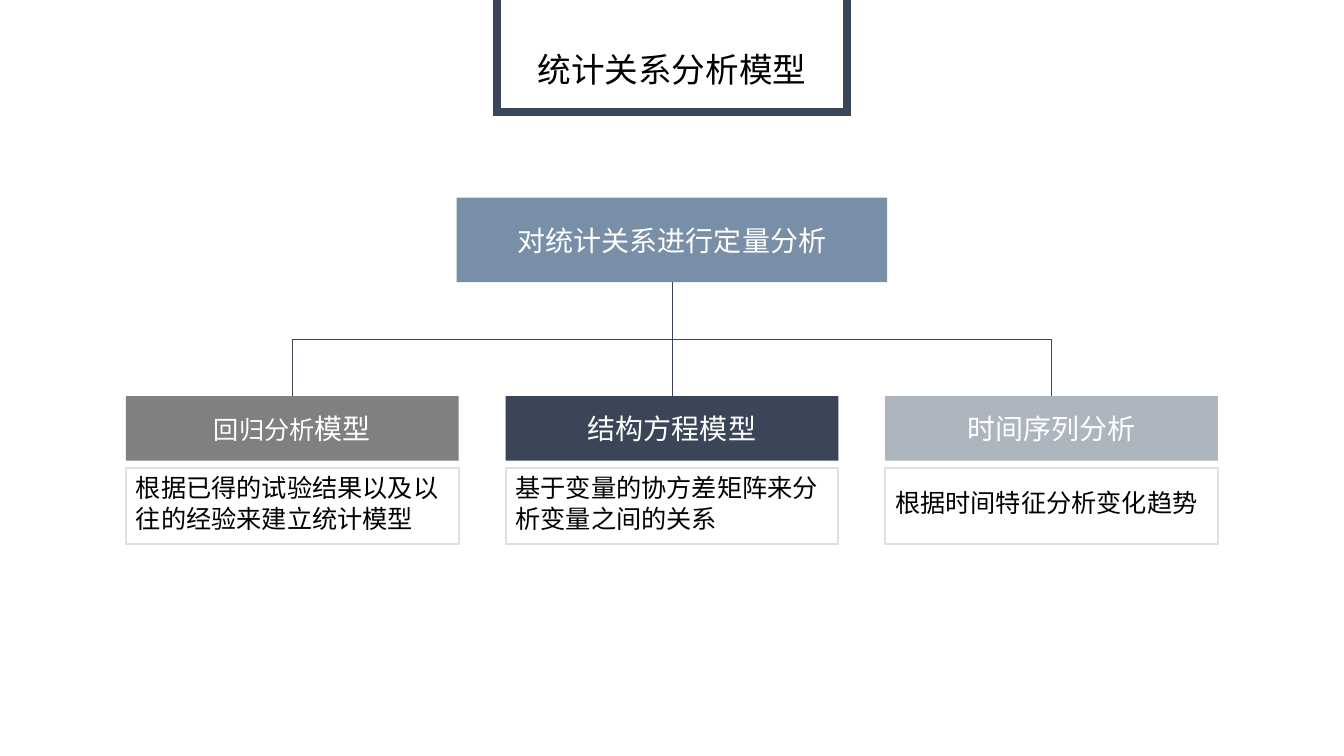
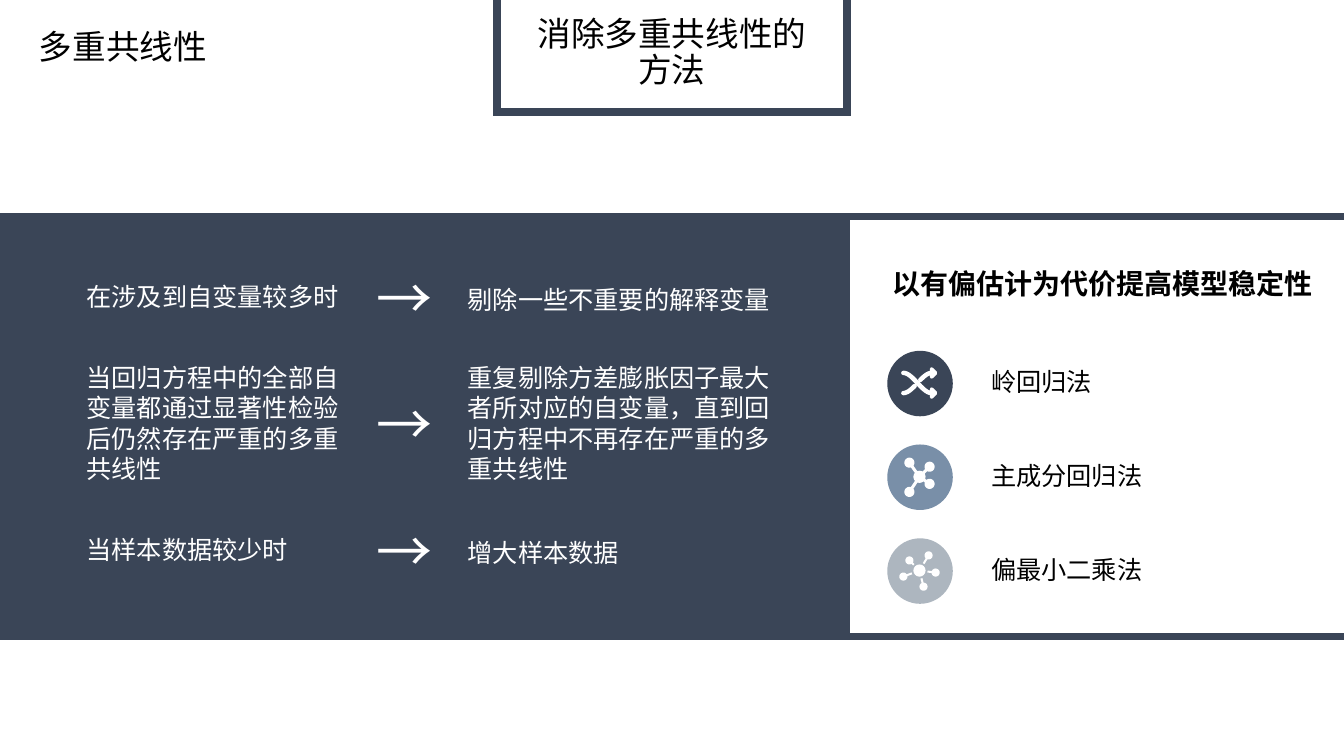
"""Build two slides on statistical relation models and multicollinearity."""
import math
from dataclasses import dataclass

from pptx import Presentation
from pptx.dml.color import RGBColor
from pptx.enum import shapes as kinds, text as layout
from pptx.oxml.ns import qn
from pptx.util import Inches, Pt

COLORS = {
    "navy": "3A4557", "blue": "798FA8", "silver": "ADB6BF", "gray": "808080",
    "edge": "E0E0E0", "white": "FFFFFF", "black": "000000",
}
CJK = "Noto Sans CJK SC"
CENTER = layout.PP_ALIGN.CENTER
MIDDLE = layout.MSO_ANCHOR.MIDDLE
TOP = layout.MSO_ANCHOR.TOP
BOTTOM = layout.MSO_ANCHOR.BOTTOM
RECT = kinds.MSO_SHAPE.RECTANGLE
OVAL = kinds.MSO_SHAPE.OVAL
STRAIGHT = kinds.MSO_CONNECTOR.STRAIGHT
ELBOW = kinds.MSO_CONNECTOR.ELBOW
Point = tuple[float, float]


@dataclass(frozen=True)
class Model:
    name: tuple[tuple[str, int], ...]
    description: str
    color: str
    spacing: float | None = None


@dataclass(frozen=True)
class Remedy:
    condition: str
    action: str
    middle: float
    action_drop: float = 0


@dataclass(frozen=True)
class Network:
    hub_radius: float
    nodes: tuple[Point, ...]
    node_radius: float
    link_width: float
    link_gap: float


MODELS = (
    Model((("回归分析", 18), ("模型", 20)), "根据已得的试验结果以及以往的经验来建立统计模型", "gray"),
    Model((("结构方程模型", 20),), "基于变量的协方差矩阵来分析变量之间的关系", "navy"),
    Model((("时间序列分析", 20),), "根据时间特征分析变化趋势", "silver", 1.5),
)
REMEDIES = (
    Remedy("在涉及到自变量较多时", "剔除一些不重要的解释变量", 2.94, 0.03),
    Remedy("当回归方程中的全部自变量都通过显著性检验后仍然存在严重的多重共线性",
           "重复剔除方差膨胀因子最大者所对应的自变量，直到回归方程中不再存在严重的多重共线性", 4.19),
    Remedy("当样本数据较少时", "增大样本数据", 5.45, 0.03),
)
METHODS = ("岭回归法", "主成分回归法", "偏最小二乘法")
COMPONENTS = Network(0.06, ((-0.1, -0.14), (0.1, -0.1), (0.1, 0.07), (-0.1, 0.15)), 0.05, 0.03, 0)
RADIAL = Network(0.06, ((0.04, 0.16), (-0.16, 0.06), (0.16, 0.02), (-0.1, -0.1), (0.09, -0.15)),
                 0.04, 0.02, 0.02)


def rgb(color: str) -> RGBColor:
    return RGBColor.from_string(COLORS[color])


def write(paragraph, text: str, *, size: float = 18, color: str = "black", font: str = "Arial",
          bold: bool = False, align=None, spacing: float | None = None) -> None:
    paragraph.alignment = align
    paragraph.line_spacing = spacing
    run = paragraph.add_run()
    run.text = text
    run.font.size = Pt(size)
    run.font.bold = bold
    run.font.name = font
    run.font.color.rgb = rgb(color)
    properties = run.font._element
    properties.set("lang", "zh-CN")
    east_asian = properties.makeelement(qn("a:ea"), {"typeface": font})
    properties.find(qn("a:latin")).addnext(east_asian)


def label(slide, text: str, left: float, top: float, width: float, height: float, **style) -> None:
    frame = slide.shapes.add_textbox(*map(Inches, (left, top, width, height))).text_frame
    frame.word_wrap = True
    frame.vertical_anchor = MIDDLE
    write(frame.paragraphs[0], text, **style)


def paint(shape, fill: str | None, line: str | None, width: float, join: str) -> None:
    shape.shadow.inherit = False
    if fill:
        shape.fill.solid()
        shape.fill.fore_color.rgb = rgb(fill)
    else:
        shape.fill.background()
    if not line:
        shape.line.fill.background()
        return
    shape.line.color.rgb = rgb(line)
    shape.line.width = Pt(width)
    stroke = shape.line._get_or_add_ln()
    stroke.append(stroke.makeelement(qn(f"a:{join}"), {}))
    if join == "round":
        stroke.set("cap", "rnd")


def block(slide, kind, left: float, top: float, width: float, height: float, *,
          fill: str | None = None, line: str | None = None, line_width: float = 1, anchor=MIDDLE):
    shape = slide.shapes.add_shape(kind, *map(Inches, (left, top, width, height)))
    paint(shape, fill, line, line_width, "miter")
    shape.text_frame.word_wrap = True
    shape.text_frame.vertical_anchor = anchor
    return shape


def connect(slide, kind, start: Point, end: Point, turn: int = 0) -> None:
    line = slide.shapes.add_connector(kind, *map(Inches, (*start, *end)))
    line.line.color.rgb = rgb("navy")
    line.line.width = Pt(0.5)
    properties = line._element.spPr
    properties.append(properties.makeelement(qn("a:effectLst"), {}))
    if turn:
        properties.find(qn("a:xfrm")).set("rot", str(turn * 60000))


def branch(slide, start: Point, end: Point) -> None:
    rise, run = end[1] - start[1], abs(end[0] - start[0])
    x, y = (start[0] + end[0]) / 2, (start[1] + end[1]) / 2
    side = 1 if end[0] < start[0] else -1
    connect(slide, ELBOW, (x - side * rise / 2, y - run / 2), (x + side * rise / 2, y + run / 2),
            90 if side > 0 else 270)


def freeform(slide, contours: list[list[Point]], closed: bool = True):
    outlines = [[(Inches(x), Inches(y)) for x, y in contour] for contour in contours]
    builder = slide.shapes.build_freeform(*outlines[0][0])
    for index, corners in enumerate(outlines):
        if index:
            builder.move_to(*corners[0])
        builder.add_line_segments(corners[1:], close=closed)
    return builder.convert_to_shape()


def shuffle(slide, center: Point) -> None:
    x, y = center
    strands = []
    for rise, first, last in ((0.1, 0, 20), (-0.1, 0, 8), (-0.1, 12, 20)):
        steps = [step / 20 for step in range(first, last + 1)]
        strands.append([(x - 0.16 + 0.28 * t, y + rise * (6 * t * t - 4 * t ** 3 - 1)) for t in steps])
    paint(freeform(slide, strands, False), None, "white", 3.2, "round")
    heads = [[(x + 0.12, tip - 0.04), (x + 0.16, tip), (x + 0.12, tip + 0.04)] for tip in (y - 0.1, y + 0.1)]
    paint(freeform(slide, heads), "white", "white", 2.5, "round")


def ring(center: Point, radius: float) -> list[Point]:
    angles = [math.tau * step / 32 for step in range(32)]
    return [(center[0] + radius * math.cos(a), center[1] + radius * math.sin(a)) for a in angles]


def network(slide, center: Point, plan: Network) -> None:
    x, y = center
    contours = [ring(center, plan.hub_radius)]
    for dx, dy in plan.nodes:
        contours.append(ring((x + dx, y + dy), plan.node_radius))
        reach = math.hypot(dx, dy)
        ux, uy = dx / reach, dy / reach
        near, far = plan.hub_radius + plan.link_gap, reach - plan.node_radius
        half = plan.link_width / 2
        corners = ((near, half), (far, half), (far, -half), (near, -half))
        contours.append([(x + ux * along - uy * across, y + uy * along + ux * across)
                         for along, across in corners])
    paint(freeform(slide, contours), "white", None, 0, "miter")


def place(placeholder, left: float, top: float, width: float, height: float):
    placeholder.left, placeholder.top = Inches(left), Inches(top)
    placeholder.width, placeholder.height = Inches(width), Inches(height)
    frame = placeholder.text_frame
    frame.word_wrap = True
    frame.auto_size = layout.MSO_AUTO_SIZE.NONE
    frame.vertical_anchor = BOTTOM
    return frame


def titled_slide(deck, layout_index: int, title: str, font: str):
    slide = deck.slides.add_slide(deck.slide_layouts[layout_index])
    frame = place(slide.shapes.title, 5.2, 0, 2.93, 0.94)
    write(frame.paragraphs[0], title, size=24, font=font, align=CENTER, spacing=0.9)
    block(slide, RECT, 4.93, -0.6, 3.47, 1.71, line="navy", line_width=5.5)
    return slide


def models_slide(deck) -> None:
    slide = titled_slide(deck, 5, "统计关系分析模型", CJK)
    card_width, card_top, first_left, last_left = 3.3, 3.93, 1.25, 8.78
    pitch = (last_left - first_left) / (len(MODELS) - 1)
    trunk = (6.67, 2.8)
    root = block(slide, RECT, 4.53, 1.96, 4.27, 0.84, fill="blue")
    write(root.text_frame.paragraphs[0], "对统计关系进行定量分析", size=20, color="white", align=CENTER)
    for index, model in enumerate(MODELS):
        left = first_left + pitch * index
        heading = block(slide, RECT, left, card_top, card_width, 0.64, fill=model.color)
        for part, size in model.name:
            write(heading.text_frame.paragraphs[0], part, size=size, color="white", align=CENTER)
        detail = block(slide, RECT, left, 4.64, card_width, 0.76, line="edge", line_width=1.5, anchor=TOP)
        write(detail.text_frame.paragraphs[0], model.description,
              align=layout.PP_ALIGN.LEFT, spacing=model.spacing)
    branch(slide, trunk, (first_left + card_width / 2, card_top))
    branch(slide, trunk, (last_left + card_width / 2, card_top))
    connect(slide, STRAIGHT, trunk, (trunk[0], card_top))


def method_list(slide) -> None:
    frame = place(slide.placeholders[1], 9.73, 3.41, 3.4, 2.44)
    for index, method in enumerate(METHODS):
        paragraph = frame.paragraphs[0] if index == 0 else frame.add_paragraph()
        properties = paragraph._p.get_or_add_pPr()
        properties.set("marL", "0")
        properties.set("indent", "0")
        properties.append(properties.makeelement(qn("a:buNone"), {}))
        paragraph.space_before = Pt(45.5 if index else 0)
        write(paragraph, method)


def remedies_slide(deck) -> None:
    slide = titled_slide(deck, 1, "消除多重共线性的方法", "Montserrat")
    label(slide, "多重共线性", 0.18, 0.14, 2.08, 0.69, size=24, font=CJK, align=CENTER, spacing=0.9)
    block(slide, RECT, 0, 2.15, 8.4, 4.17, fill="navy", line="navy", line_width=5)
    block(slide, RECT, 8.4, 2.15, 5.12, 4.17, line="navy", line_width=5)
    for remedy in REMEDIES:
        top = remedy.middle - 0.65
        label(slide, remedy.condition, 0.76, top, 2.74, 1.31, color="white")
        label(slide, "→", 3.64, top, 0.8, 1.31, size=40, font=CJK, color="white")
        label(slide, remedy.action, 4.54, top + remedy.action_drop, 3.23, 1.31, color="white")
    label(slide, "以有偏估计为代价提高模型稳定性", 8.75, 2.59, 4.5, 0.44, size=20, bold=True)
    method_list(slide)
    centers = [(9.12, 3.8 + 0.93 * index) for index in range(len(METHODS))]
    for (x, y), color in zip(centers, ("navy", "blue", "silver")):
        block(slide, OVAL, x - 0.32, y - 0.32, 0.65, 0.65, fill=color)
    shuffle(slide, centers[0])
    network(slide, centers[1], COMPONENTS)
    network(slide, centers[2], RADIAL)


def main() -> None:
    deck = Presentation()
    deck.slide_width, deck.slide_height = Inches(13.33), Inches(7.5)
    models_slide(deck)
    remedies_slide(deck)
    deck.save("out.pptx")


if __name__ == "__main__":
    main()
